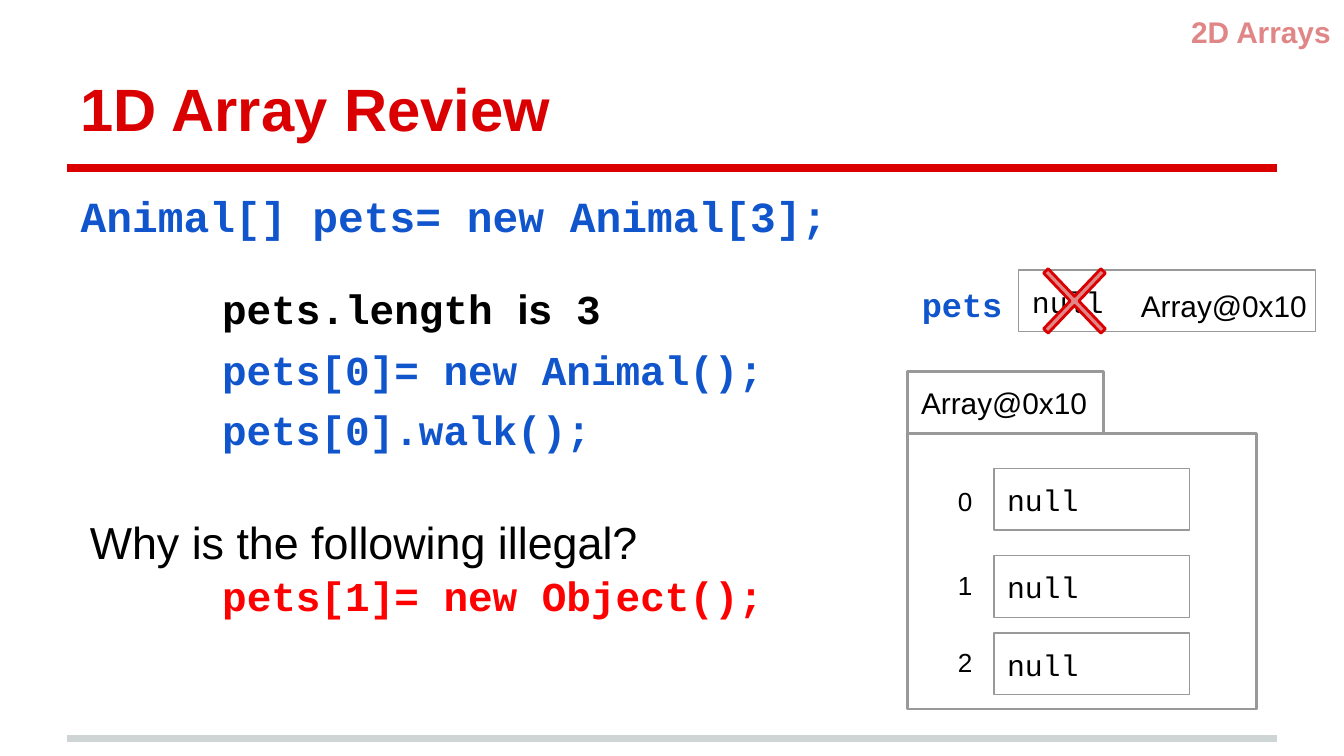
from typing import NamedTuple

from lxml import etree
from pptx import Presentation
from pptx.dml.color import RGBColor
from pptx.enum.shapes import MSO_CONNECTOR, MSO_SHAPE
from pptx.enum.text import MSO_ANCHOR, MSO_AUTO_SIZE, PP_ALIGN
from pptx.oxml.ns import qn
from pptx.util import Pt

EMU_PER_PX = 4572  # 200 px to the inch
RECTANGLE = MSO_SHAPE.RECTANGLE
CROSS = MSO_SHAPE.MATH_MULTIPLY
STRAIGHT = MSO_CONNECTOR.STRAIGHT
LEFT, RIGHT = PP_ALIGN.LEFT, PP_ALIGN.RIGHT
TOP, BOTTOM = MSO_ANCHOR.TOP, MSO_ANCHOR.BOTTOM
NO_AUTO_SIZE = MSO_AUTO_SIZE.NONE

RED = RGBColor(0xDA, 0x00, 0x02)
PINK = RGBColor(0xE0, 0x86, 0x86)
BRIGHT_RED = RGBColor(0xFF, 0x00, 0x00)
BLUE = RGBColor(0x11, 0x55, 0xCC)
GRAY = RGBColor(0x99, 0x99, 0x99)
PALE_GRAY = RGBColor(0xCF, 0xD4, 0xD4)
BLACK = RGBColor(0x00, 0x00, 0x00)
SANS, MONO = "Arial", "Courier New"
MARGIN = 20
CELL_HEIGHT = 92


class Box(NamedTuple):
    left: int
    top: int
    width: int
    height: int


class Span(NamedTuple):
    text: str
    font: str = SANS
    size: int = 16
    color: RGBColor = BLACK
    bold: bool = False


class Label(NamedTuple):
    box: Box
    lines: list[list[Span]]
    align: PP_ALIGN = LEFT
    space_before: int = 0


class Slot(NamedTuple):
    index: str
    index_top: int
    top: int


def px(length: int) -> int:
    return length * EMU_PER_PX


def place(shape, box: Box) -> None:
    shape.left, shape.top, shape.width, shape.height = map(px, box)


def write(shape, lines: list[list[Span]], *, align=LEFT, anchor=TOP, space_before=0) -> None:
    """Fill a shape with paragraphs, each a list of spans."""
    frame = shape.text_frame
    frame.word_wrap = True
    frame.auto_size = NO_AUTO_SIZE
    frame.vertical_anchor = anchor
    frame.margin_left = frame.margin_right = px(MARGIN)
    frame.margin_top = frame.margin_bottom = px(MARGIN)
    for number, spans in enumerate(lines):
        para = frame.add_paragraph() if number else frame.paragraphs[0]
        para.alignment = align
        para.space_before = Pt(space_before)
        for span in spans:
            run = para.add_run()
            run.text = span.text
            run.font.name = span.font
            run.font.size = Pt(span.size)
            run.font.bold = span.bold
            run.font.color.rgb = span.color


def add_label(page, label: Label) -> None:
    shape = page.shapes.add_textbox(*map(px, label.box))
    write(shape, label.lines, align=label.align, space_before=label.space_before)


def add_frame(page, box: Box, line_width: float, *spans: Span) -> None:
    """Draw an unfilled gray rectangle, with one line of text if given."""
    shape = page.shapes.add_shape(RECTANGLE, *map(px, box))
    shape.shadow.inherit = False
    shape.fill.background()
    shape.line.color.rgb = GRAY
    shape.line.width = Pt(line_width)
    if spans:
        write(shape, [list(spans)])


def add_rule(page, top: int, color: RGBColor) -> None:
    rule = page.shapes.add_connector(STRAIGHT, px(100), px(top), px(1900), px(top))
    rule.line.color.rgb = color
    rule.line.width = Pt(4)
    etree.SubElement(rule._element.spPr, qn("a:effectLst"))


def add_cross(page, box: Box) -> None:
    cross = page.shapes.add_shape(CROSS, *map(px, box))
    cross.adjustments[0] = 0.057
    cross.shadow.inherit = False
    cross.fill.solid()
    cross.fill.fore_color.rgb = PINK
    cross.line.color.rgb = RED
    cross.line.width = Pt(1.5)


def fill_placeholders(page) -> None:
    title, body = page.shapes.title, page.placeholders[1]
    place(title, Box(100, 45, 1800, 188))
    write(title, [[Span("1D Array Review", SANS, 32, RED, True)]], anchor=BOTTOM)
    place(body, Box(100, 262, 1800, 126))
    write(body, [[Span("Animal[] pets= new Animal[3];", MONO, 23, BLUE, True)]])
    properties = body.text_frame.paragraphs[0]._p.get_or_add_pPr()
    properties.set("marL", "0")
    properties.set("indent", "0")
    etree.SubElement(properties, qn("a:buNone"))


def code(text: str, color: RGBColor = BLUE, size: int = 22) -> Span:
    return Span(text, MONO, size, color, True)


NULL = Span("null", MONO)
ADDRESS = Span("Array@0x10")
SLOTS = [Slot("0", 702, 697), Slot("1", 827, 827), Slot("2", 942, 942)]
LENGTH_LINE = [code("pets.length ", BLACK), Span("is", SANS, 22, BLACK, True), code(" 3", BLACK)]
LABELS = [
    Label(Box(1532, 0, 468, 80), [[Span("2D Arrays", SANS, 16, PINK, True)]], RIGHT),
    Label(Box(1352, 402, 164, CELL_HEIGHT), [[code("pets", size=18)]]),
    Label(Box(1678, 408, 308, 80), [[ADDRESS]]),
    Label(
        Box(311, 402, 1134, 322),
        [LENGTH_LINE, [code("pets[0]= new Animal();")], [code("pets[0].walk();")]],
        space_before=6,
    ),
    Label(Box(114, 746, 866, 114), [[Span("Why is the following illegal?", SANS, 24)]]),
    Label(Box(311, 829, 1024, 114), [[code("pets[1]= new Object();", BRIGHT_RED)]], space_before=6),
]


def main() -> None:
    deck = Presentation()
    deck.slide_width, deck.slide_height = px(2000), px(1125)
    page = deck.slides.add_slide(deck.slide_layouts[1])
    add_rule(page, 1099, PALE_GRAY)
    add_rule(page, 250, RED)
    fill_placeholders(page)

    add_frame(page, Box(1351, 553, 291, CELL_HEIGHT), 1.5, ADDRESS)
    add_frame(page, Box(1351, 645, 519, 410), 1.5)
    for slot in SLOTS:
        add_frame(page, Box(1479, slot.top, 291, CELL_HEIGHT), 0.75, NULL)
        index_box = Box(1406, slot.index_top, 74, CELL_HEIGHT)
        add_label(page, Label(index_box, [[Span(slot.index, SANS, 14)]]))

    add_frame(page, Box(1516, 402, 442, CELL_HEIGHT), 0.75, NULL)
    add_cross(page, Box(1517, 362, 164, 172))
    for label in LABELS:
        add_label(page, label)
    deck.save("out.pptx")


if __name__ == "__main__":
    main()
